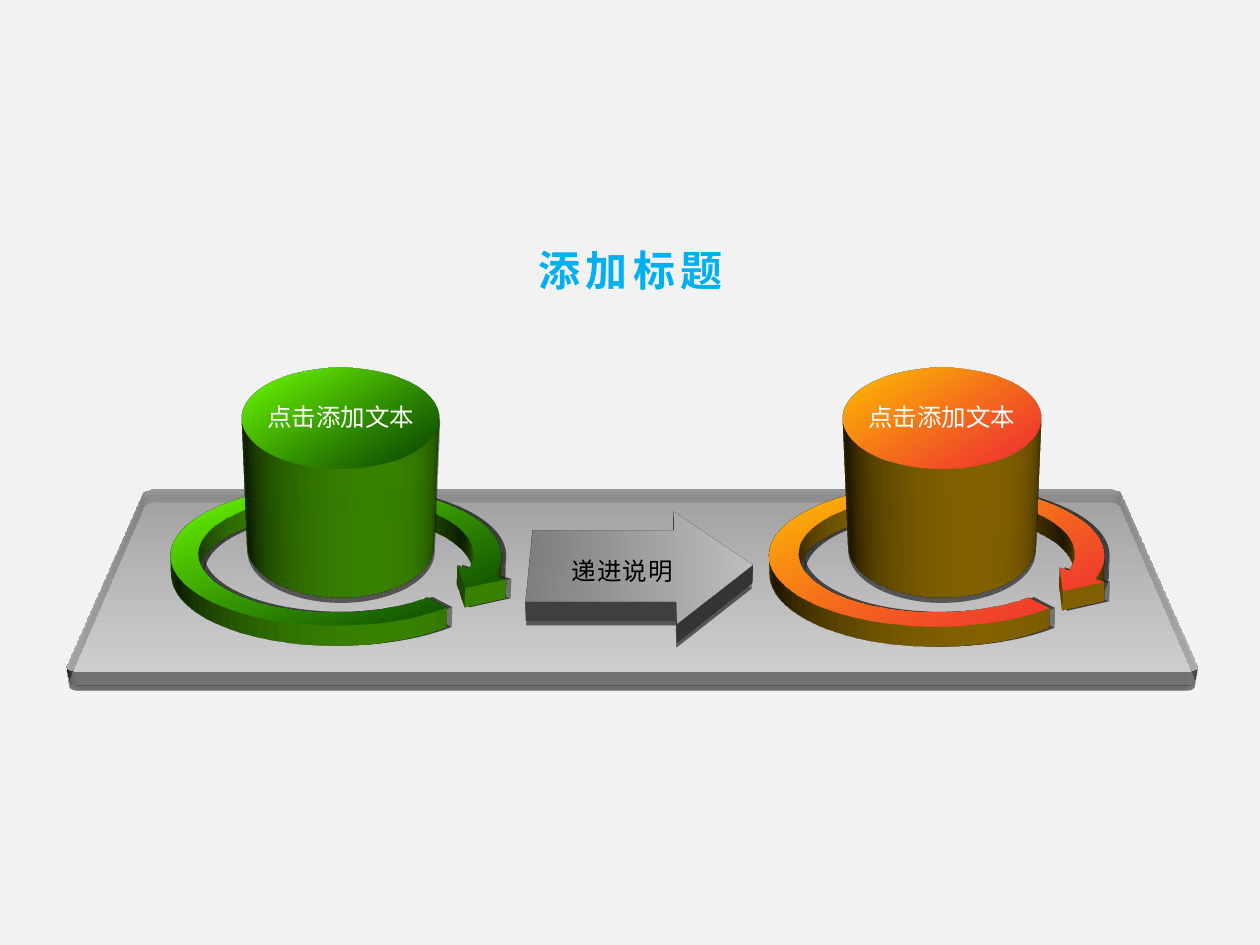
from dataclasses import dataclass

from lxml import etree
from pptx import Presentation
from pptx.dml.color import RGBColor
from pptx.enum import shapes, text
from pptx.oxml import ns
from pptx.util import Inches, Pt

KIND = shapes.MSO_SHAPE
ANCHOR = text.MSO_ANCHOR


@dataclass(frozen=True)
class Theme:
    """Colours, font and type sizes."""
    font: str = "Noto Sans CJK SC"
    title_size: int = 24
    label_size: int = 14
    background: str = "F2F2F2"
    title: str = "00B0F0"
    title_edge: str = "F9FCFC"
    light: str = "FFFFFF"
    dark: str = "000000"
    plate: tuple = ((0, "A6A6A6"), (100, "D9D9D9"))
    arrow: tuple = ((0, "808080"), (100, "BFBFBF"))
    green: tuple = ((0, "6EFF01"), (90, "0F5000"))
    orange: tuple = ((0, "FFC000"), (90, "F03530"))


THEME = Theme()
SOFT_SHADOW = (33, 17.8, 3, 87)
RING_SHADOW = (40, 4, 3, 0)


def append_xml(parent, markup):
    """Append one DrawingML element, given without its namespace."""
    head, rest = markup.split(" ", 1) if " " in markup.split(">")[0] else (markup.rstrip("/>"), "/>")
    parent.append(etree.fromstring(f"{head} xmlns='{ns.nsuri('a')}' {rest}"))


def add_solid(slide, kind, box, colours, angle, tilt, depth,
              shadow=SOFT_SHADOW, adjust=(), opacity=100):
    """Add a tilted, extruded shape with a gradient and a shadow."""
    solid = slide.shapes.add_shape(kind, *map(Inches, box))
    for index, value in enumerate(adjust):
        solid.adjustments[index] = value
    stops = "".join(
        f"<gs pos='{place * 1000}'><srgbClr val='{colour}'>"
        f"<alpha val='{opacity * 1000}'/></srgbClr></gs>"
        for place, colour in colours)
    alpha, blur, distance, direction = shadow
    for markup in (
        f"<gradFill rotWithShape='1'><gsLst>{stops}</gsLst>"
        f"<lin ang='{angle * 60000}' scaled='0'/></gradFill>",
        "<ln w='9525'><noFill/></ln>",
        f"<effectLst ><outerShdw blurRad='{Pt(blur)}' dist='{Pt(distance)}' "
        f"dir='{direction * 60000}' algn='ctr' rotWithShape='0'>"
        f"<srgbClr val='{THEME.dark}'><alpha val='{alpha * 1000}'/></srgbClr>"
        "</outerShdw></effectLst>",
        f"<scene3d ><camera prst='perspectiveRelaxed'><rot lat='{int(tilt * 60000)}' "
        "lon='0' rev='0'/></camera><lightRig rig='threePt' dir='t'/></scene3d>",
        f"<sp3d extrusionH='{Pt(depth)}' prstMaterial='matte'/>",
    ):
        append_xml(solid._element.spPr, markup)
    return solid


def write_text(holder, words, size, colour, bold=False, spacing=0, anchor=ANCHOR.TOP):
    """Write one centred run into a text holder."""
    frame = holder.text_frame
    frame.word_wrap = True
    frame.auto_size = text.MSO_AUTO_SIZE.SHAPE_TO_FIT_TEXT
    frame.vertical_anchor = anchor
    paragraph = frame.paragraphs[0]
    paragraph.alignment = text.PP_ALIGN.CENTER
    run = paragraph.add_run()
    run.text = words
    run.font.size = Pt(size)
    run.font.bold = bold
    run.font.color.rgb = RGBColor.from_string(colour)
    run.font.name = THEME.font
    properties = run._r.get_or_add_rPr()
    append_xml(properties, f"<ea typeface='{THEME.font}'/>")
    if spacing:
        properties.set("spc", str(int(spacing * 100)))
    return properties


def add_label(slide, box, words, colour, **style):
    """Add a label in a text box."""
    label = slide.shapes.add_textbox(*map(Inches, box))
    write_text(label, words, THEME.label_size, colour, **style)


def place_title(slide, box):
    """Move the title placeholder to its box and fill it."""
    title = slide.shapes.title
    title.left, title.top, title.width, title.height = map(Inches, box)
    properties = write_text(title, "添加标题", THEME.title_size, THEME.title,
                            bold=True, spacing=3)
    edge = etree.fromstring(
        f"<ln xmlns='{ns.nsuri('a')}' w='{Pt(1)}'><solidFill>"
        f"<srgbClr val='{THEME.title_edge}'/></solidFill></ln>")
    properties.insert(0, edge)


def add_plate(slide, box):
    """Add the base plate."""
    add_solid(slide, KIND.ROUNDED_RECTANGLE, box, THEME.plate, 90, 300, 9,
              adjust=(0.03,), opacity=50)


def add_progress(slide, box):
    """Add the arrow between the stages and its label."""
    left, top, width, height = box
    arrow = add_solid(slide, KIND.LEFT_ARROW, box, THEME.arrow, 0, 300, 12,
                      adjust=(0.637, 0.348))
    arrow._element.spPr.xfrm.set("flipH", "1")
    add_label(slide, (left, top + 0.76, 1.48, 0.34), "递进说明", THEME.dark,
              spacing=0.5, anchor=ANCHOR.MIDDLE)


def add_stage(slide, box, colours, ring, label_width):
    """Add a circling arrow with a labelled cylinder inside it."""
    left, top, width, height = box
    add_solid(slide, KIND.CIRCULAR_ARROW, box, colours, 45, 295, 12,
              shadow=RING_SHADOW, adjust=ring)
    cylinder_width = 1.57
    middle = left + width / 2 + 0.04
    add_solid(slide, KIND.OVAL,
              (middle - cylinder_width / 2, top - 0.27, cylinder_width, 1.26),
              colours, 45, 309.6, 100)
    add_label(slide, (middle - label_width / 2, top + 0.19, label_width, 0.34),
              "点击添加文本", THEME.light)


def main():
    """Build and save the slide."""
    deck = Presentation()
    deck.slide_width, deck.slide_height = Inches(10), Inches(7.5)
    slide = deck.slides.add_slide(deck.slide_layouts[5])
    slide.background.fill.solid()
    slide.background.fill.fore_color.rgb = RGBColor.from_string(THEME.background)
    add_plate(slide, (0.88, 3.11, 8.27, 2.87))
    place_title(slide, (2.94, 1.89, 4.13, 0.5))
    add_progress(slide, (4.2, 3.6, 1.77, 1.77))
    ring_size = 2.83
    for left, colours, ring, label_width in (
        (1.25, THEME.green, (0.078, 9.101, 11.705, 30.319, 0.078), 1.87),
        (6.02, THEME.orange, (0.083, 9.56, 13.092, 30.319, 0.074), 1.79),
    ):
        add_stage(slide, (left, 2.95, ring_size, ring_size), colours, ring, label_width)
    deck.save("out.pptx")


if __name__ == "__main__":
    main()
